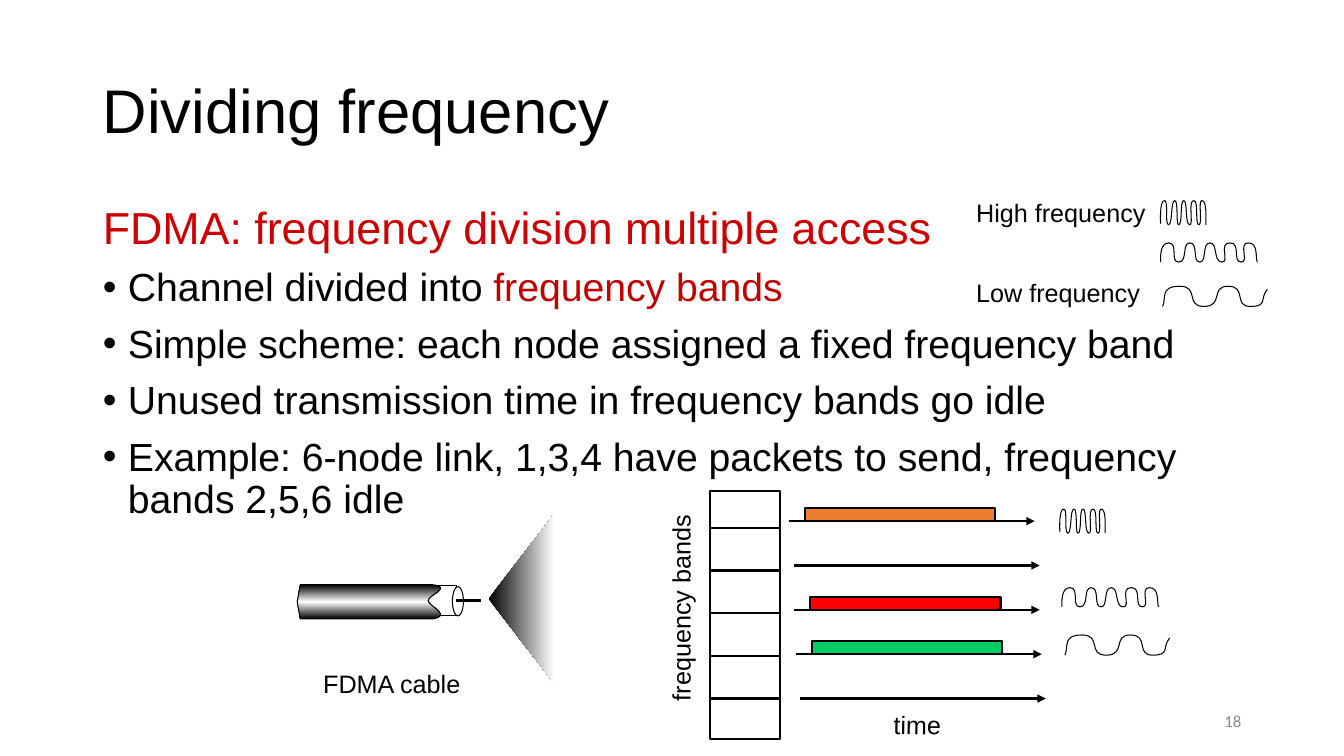
from copy import deepcopy
from dataclasses import dataclass
from lxml.etree import SubElement
from pptx import Presentation
from pptx.dml.color import RGBColor
from pptx.enum.shapes import MSO_CONNECTOR, MSO_SHAPE
from pptx.enum.text import MSO_ANCHOR, MSO_AUTO_SIZE, PP_ALIGN
from pptx.oxml.ns import qn
from pptx.util import Emu, Pt

PX = 9144


@dataclass(frozen=True)
class Theme:
    font: str = "Arial"
    number_font: str = "Calibri"
    ink: str = "000000"
    paper: str = "FFFFFF"
    heading: str = "CC0000"
    accent: str = "C00000"
    number: str = "898989"
    orange: str = "ED7D31"
    red: str = "FF0000"
    green: str = "00CC66"
    title_size: int = 44
    heading_size: int = 32
    body_size: int = 28
    label_size: int = 18
    number_size: int = 12
    thin: float = 0.75
    medium: float = 1.5
    thick: float = 2.25


THEME = Theme()

TITLE = "Dividing frequency"
HEADING = "FDMA: frequency division multiple access"
BULLETS = [
    [("Channel divided into ", THEME.ink), ("frequency bands", THEME.accent)],
    [("Simple scheme: each node assigned a fixed frequency band", THEME.ink)],
    [("Unused transmission time in frequency bands go idle", THEME.ink)],
    [("Example: 6-node link, 1,3,4 have packets to send, frequency bands 2,5,6 idle", THEME.ink)],
]
LABELS = [
    ("frequency bands", (573, 583, 205, 40), 270, False),
    ("time", (877, 699, 67, 40), 1.1, False),
    ("FDMA cable", (311, 658, 157, 40), 0, False),
    ("High frequency", (959, 191, 212, 40), 0, True),
    ("Low frequency", (959, 270, 212, 40), 0, True),
]
PAGE_NUMBER = "18"

BAND_BOX = (705, 487, 69, 246)
DIVIDERS = [524, 566, 608, 651, 693]
TIMELINES = [(783, THEME.orange), (788, None), (788, THEME.red), (790, THEME.green), (794, None)]
TIMELINE_TOP, TIMELINE_STEP, TIMELINE_LENGTH = 517, 44, 244
BAR_OFFSET, BAR_WIDTH, BAR_HEIGHT = 16, 189, 12

BEAM = [(550, 510), (485, 594), (550, 678)]
CABLE = [(298, 580), (295, 597), (298, 614), (429, 614), (450, 611), (425, 601), (425, 596),
         (425, 590), (450, 583), (429, 580)]
CABLE_CURVES = slice(3, 9)

# Each knot is (handle before, crest or trough, handle after) along x.
WAVES = {
    "high": (24, [(1, 23), (1, 19)],
             [(0, 5, 9), (5, 9, 13), (11, 15, 19), (16, 19, 23), (20, 24, 28),
              (25, 30, 34), (28, 34, 39), (35, 39, 43), (38, 42, 47)], [(46, 17), (46, 24)]),
    "middle": (19, [(1, 19), (1, 15)],
               [(0, 9, 19), (10, 19, 28), (22, 30, 39), (32, 40, 47), (42, 50, 58),
                (53, 62, 70), (58, 70, 81), (72, 81, 89), (78, 88, 98)], [(95, 14), (97, 19)]),
    "low": (20, [(3, 20), (7, 12)],
            [(0, 20, 40), (25, 44, 64), (50, 68, 87), (73, 90, 108)], [(99, 12), (107, 3)]),
}
WAVE_PLACES = [("high", 1151, 199), ("middle", 1151, 241), ("low", 1151, 284),
               ("high", 1051, 505), ("middle", 1053, 583), ("low", 1054, 630)]


def emu(lengths):
    return [Emu(length * PX) for length in lengths]


def rgb(color):
    return RGBColor.from_string(color)


def style_span(span, size, color, font=THEME.font):
    span.font.size, span.font.name = Pt(size), font
    span.font.color.rgb = rgb(color)


def style_shape(shape, fill=None, width=None):
    shape.shadow.inherit = False
    if fill:
        shape.fill.solid()
        shape.fill.fore_color.rgb = rgb(fill)
    else:
        shape.fill.background()
    if width:
        shape.line.color.rgb = rgb(THEME.ink)
        shape.line.width = Pt(width)
    else:
        shape.line.fill.background()


def place(shape, area):
    shape.left, shape.top, shape.width, shape.height = emu(area)


def add_preset(page, kind, area, width):
    style_shape(page.shapes.add_shape(kind, *emu(area)), THEME.paper, width)


def add_line(page, start, end, width, arrow=False):
    line = page.shapes.add_connector(MSO_CONNECTOR.STRAIGHT, *emu(start + end))
    line.line.color.rgb = rgb(THEME.ink)
    line.line.width = Pt(width)
    properties = line.element.spPr
    if arrow:
        SubElement(properties.find(qn("a:ln")), qn("a:tailEnd"), type="triangle")
    SubElement(properties, qn("a:effectLst"))


def add_outline(page, points, closed=False, curves=slice(0)):
    builder = page.shapes.build_freeform(*points[0], scale=PX)
    builder.add_line_segments(points[1:], close=closed)
    shape = builder.convert_to_shape()
    segments = list(shape.element.iter(qn("a:lnTo")))[curves]
    for first, second, third in zip(segments[::3], segments[1::3], segments[2::3]):
        first.tag = qn("a:cubicBezTo")
        for segment in (second, third):
            first.append(segment[0])
            segment.getparent().remove(segment)
    return shape


def set_gradient(shape, colors, angle):
    shape.fill.gradient()
    stop_list = next(shape.element.iter(qn("a:gsLst")))
    for _ in colors[2:]:
        stop_list.append(deepcopy(stop_list[-1]))
    for index, (stop, color) in enumerate(zip(shape.fill.gradient_stops, colors)):
        stop.color.rgb = rgb(color)
        stop.position = index / (len(colors) - 1)
    shape.fill.gradient_angle = angle


def add_label(page, text, area, rotation=0, wrap=True):
    box = page.shapes.add_textbox(*emu(area))
    box.rotation = rotation
    box.text_frame.word_wrap = wrap
    box.text_frame.text = text
    para = box.text_frame.paragraphs[0]
    style_span(para.runs[0], THEME.label_size, THEME.ink)
    return box


def add_wave(page, name, left, top):
    height, lead, knots, tail = WAVES[name]
    middle = [(x, height * (index % 2)) for index, knot in enumerate(knots) for x in knot]
    points = [(left + x, top + y) for x, y in lead + middle + tail]
    style_shape(add_outline(page, points, curves=slice(None)), width=THEME.thin)


def fill_text(page):
    title, body = page.shapes.title, page.placeholders[1]
    place(title, (92, 40, 1150, 145))
    place(body, (92, 199, 1150, 476))
    for holder in (title, body):
        holder.text_frame.auto_size = MSO_AUTO_SIZE.NONE
        holder.text_frame.word_wrap = True
    title.text_frame.vertical_anchor = MSO_ANCHOR.MIDDLE
    title.text_frame.text = TITLE
    para = title.text_frame.paragraphs[0]
    para.alignment, para.line_spacing = PP_ALIGN.LEFT, 0.9
    style_span(para.runs[0], THEME.title_size, THEME.ink)

    for index, parts in enumerate([[(HEADING, THEME.heading)]] + BULLETS):
        para = body.text_frame.add_paragraph() if index else body.text_frame.paragraphs[0]
        para.line_spacing, para.space_before = 0.9, Pt(10 if index else 0)
        properties = para._p.get_or_add_pPr()
        properties.set("marL", str(25 * PX))
        properties.set("indent", str(-25 * PX))
        if index:
            SubElement(properties, qn("a:buFont"), typeface=THEME.font)
            SubElement(properties, qn("a:buChar"), char="•")
        else:
            SubElement(properties, qn("a:buNone"))
        for text, color in parts:
            span = para.add_run()
            span.text = text
            style_span(span, THEME.body_size if index else THEME.heading_size, color)


def draw_bands(page):
    left, _, width, _ = BAND_BOX
    add_preset(page, MSO_SHAPE.RECTANGLE, BAND_BOX, THEME.medium)
    for y in DIVIDERS:
        add_line(page, (left, y), (left + width, y), THEME.medium)
    for row, (x, color) in enumerate(TIMELINES):
        y = TIMELINE_TOP + row * TIMELINE_STEP
        add_line(page, (x, y), (x + TIMELINE_LENGTH, y), THEME.medium, arrow=True)
        if color:
            start, base = x + BAR_OFFSET, y - 1
            end, top = start + BAR_WIDTH, base - BAR_HEIGHT
            bar = add_outline(page, [(start, base), (start, top), (end, top), (end, base)])
            style_shape(bar, color, THEME.medium)


def draw_cable(page):
    beam = add_outline(page, BEAM, closed=True)
    style_shape(beam)
    set_gradient(beam, [THEME.ink, THEME.paper], 0)
    add_preset(page, MSO_SHAPE.RECTANGLE, (424, 581, 29, 30), THEME.thin)
    cable = add_outline(page, CABLE, closed=True, curves=CABLE_CURVES)
    style_shape(cable, width=THEME.thin)
    set_gradient(cable, [THEME.ink, THEME.paper, THEME.ink], 90)
    add_preset(page, MSO_SHAPE.OVAL, (449, 582, 11, 29), THEME.thin)
    add_line(page, (453, 596), (477, 596), THEME.thick)


def main():
    deck = Presentation()
    deck.slide_width, deck.slide_height = emu((1334, 750))
    page = deck.slides.add_slide(deck.slide_layouts[1])
    fill_text(page)
    draw_bands(page)
    draw_cable(page)
    for wave in WAVE_PLACES:
        add_wave(page, *wave)
    for label in LABELS:
        add_label(page, *label)
    number = add_label(page, PAGE_NUMBER, (942, 695, 300, 40))
    number.text_frame.vertical_anchor = MSO_ANCHOR.MIDDLE
    para = number.text_frame.paragraphs[0]
    para.alignment = PP_ALIGN.RIGHT
    style_span(para.runs[0], THEME.number_size, THEME.number, THEME.number_font)
    deck.save("out.pptx")


if __name__ == "__main__":
    main()
